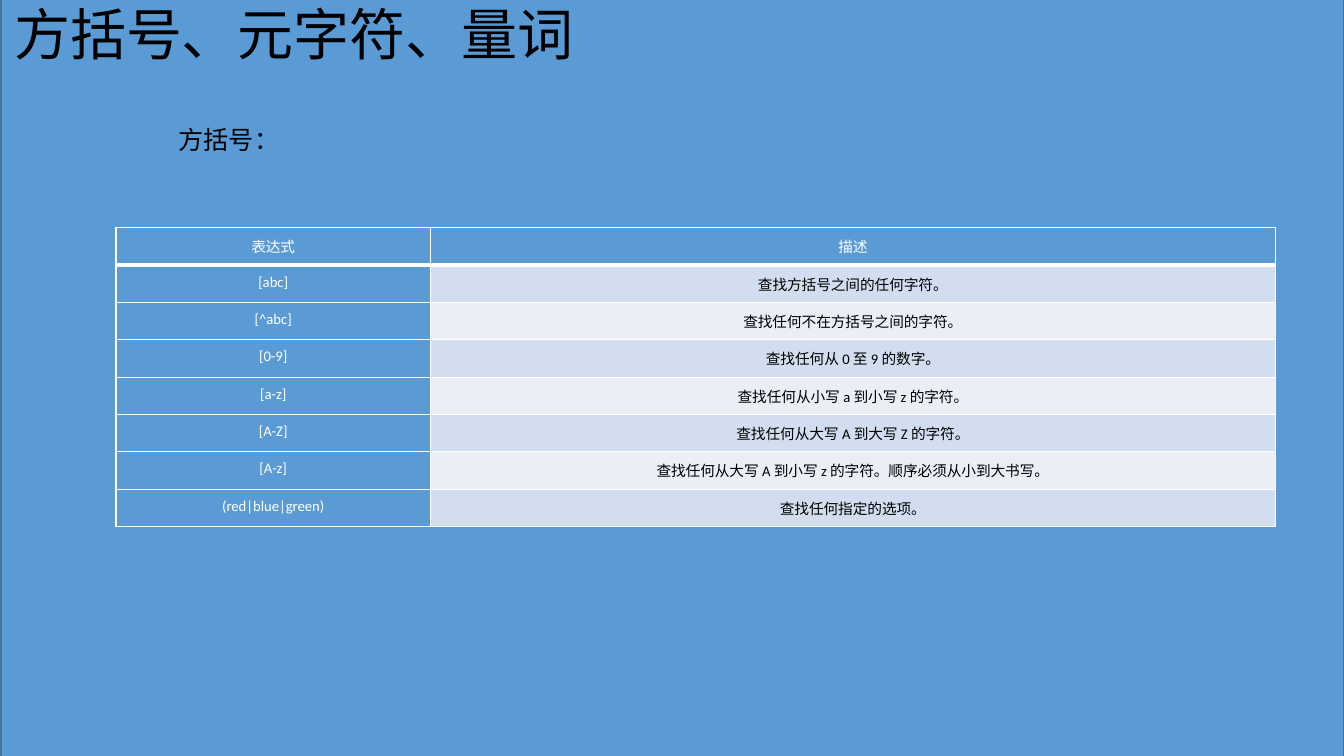
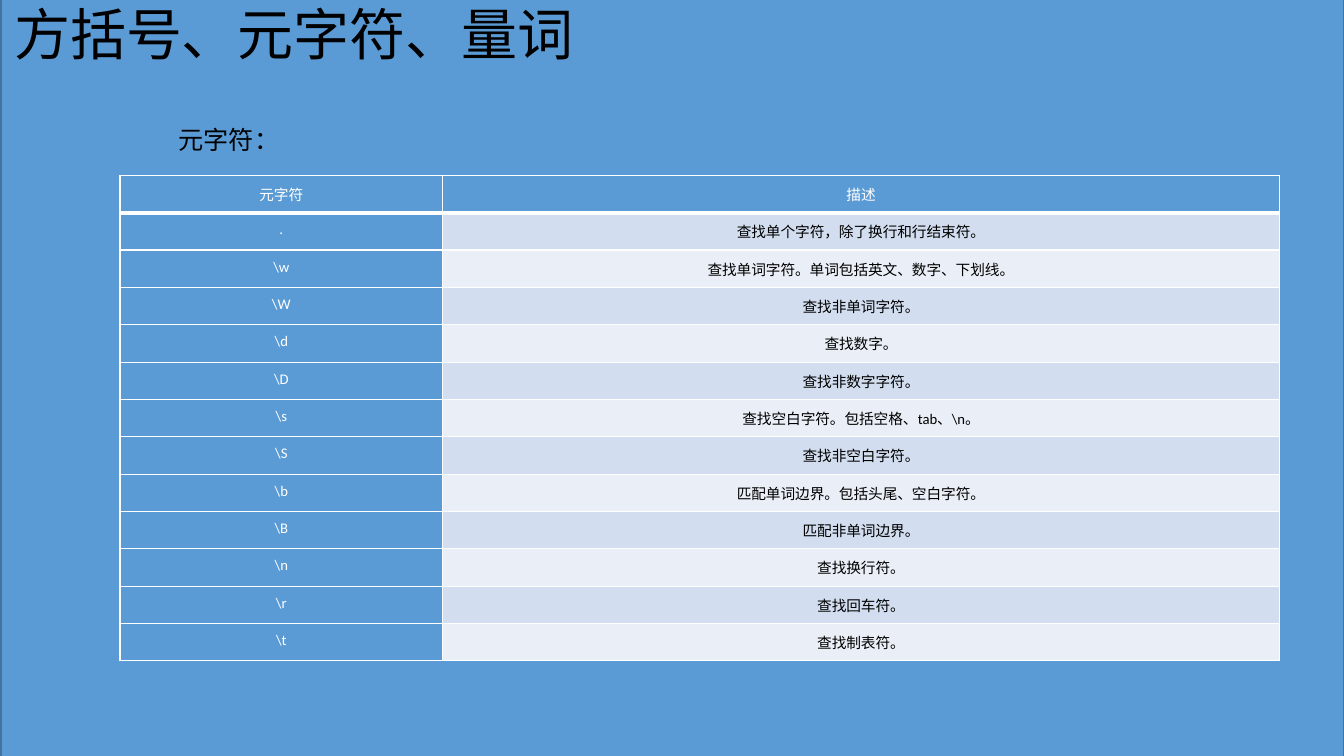
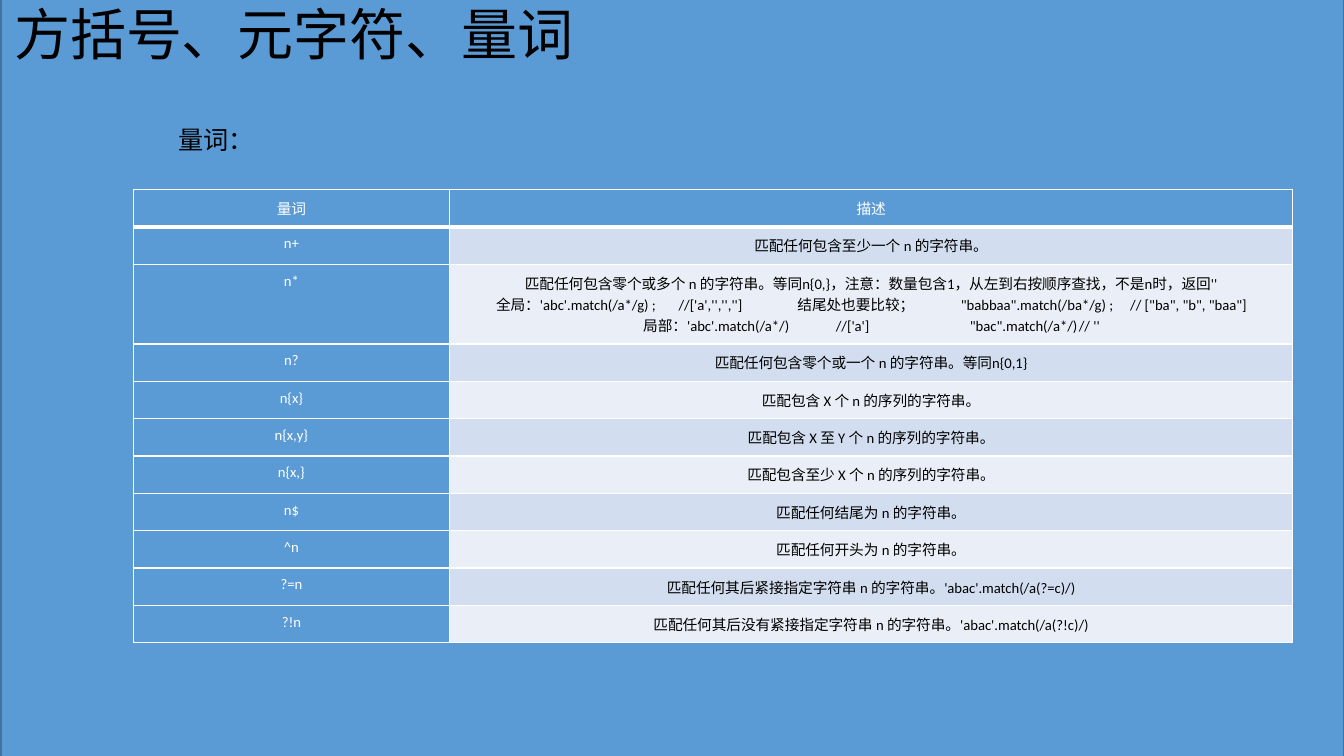
"""Build three slides of regular expression tables: brackets, metacharacters and quantifiers."""
from lxml.etree import SubElement
from pptx import Presentation
from pptx.dml.color import RGBColor
from pptx.enum.lang import MSO_LANGUAGE_ID
from pptx.enum.shapes import MSO_SHAPE
from pptx.enum.text import MSO_ANCHOR, MSO_AUTO_SIZE, PP_ALIGN
from pptx.oxml.ns import qn
from pptx.util import Inches, Pt

COLORS = {"blue": "5B9BD5", "edge": "43739E", "odd": "D2DEEF", "even": "EAEFF7",
          "white": "FFFFFF", "black": "000000"}
FONT = "Calibri"
TITLE = "方括号、元字符、量词"
TABLE_WIDTH = 11.5
ROW_HEIGHT = 0.33
TALL_ROW_HEIGHT = 0.68

TOPICS = [
    {"heading": "方括号：", "left": 1.15, "top": 2.26, "key_width": 3.12, "rows": [
        ("表达式", "描述"),
        ("[abc]", "查找方括号之间的任何字符。"),
        ("[^abc]", "查找任何不在方括号之间的字符。"),
        ("[0-9]", "查找任何从 0 至 9 的数字。"),
        ("[a-z]", "查找任何从小写 a 到小写 z 的字符。"),
        ("[A-Z]", "查找任何从大写 A 到大写 Z 的字符。"),
        ("[A-z]", "查找任何从大写 A 到小写 z 的字符。顺序必须从小到大书写。"),
        ("(red|blue|green)", "查找任何指定的选项。"),
    ]},
    {"heading": "元字符：", "left": 1.19, "top": 1.74, "key_width": 3.2, "rows": [
        ("元字符", "描述"),
        (".", "查找单个字符，除了换行和行结束符。"),
        (r"\w", "查找单词字符。单词包括英文、数字、下划线。"),
        (r"\W", "查找非单词字符。"),
        (r"\d", "查找数字。"),
        (r"\D", "查找非数字字符。"),
        (r"\s", r"查找空白字符。包括空格、tab、\n。"),
        (r"\S", "查找非空白字符。"),
        (r"\b", "匹配单词边界。包括头尾、空白字符。"),
        (r"\B", "匹配非单词边界。"),
        (r"\n", "查找换行符。"),
        (r"\r", "查找回车符。"),
        (r"\t", "查找制表符。"),
    ]},
    {"heading": "量词：", "left": 1.32, "top": 1.88, "key_width": 3.14, "rows": [
        ("量词", "描述"),
        ("n+", "匹配任何包含至少一个 n 的字符串。"),
        ("n*", "匹配任何包含零个或多个 n 的字符串。等同n{0,}，注意：数量包含1，"
               "从左到右按顺序查找，不是n时，返回''",
         [(0.39, "全局：'abc'.match(/a*/g) ;"), (2.2, "//['a','','','']"),
          (3.38, "结尾处也要比较；"), (5, '"babbaa".match(/ba*/g) ;'),
          (6.68, '// ["ba", "b", "baa"]')],
         [(1.85, "局部：'abc'.match(/a*/)"), (3.76, "//['a']"),
          (5.09, '"bac".match(/a*/)'), (6.17, "// ''")]),
        ("n?", "匹配任何包含零个或一个 n 的字符串。等同n{0,1}"),
        ("n{x}", "匹配包含 X 个 n 的序列的字符串。"),
        ("n{x,y}", "匹配包含 X 至 Y 个 n 的序列的字符串。"),
        ("n{x,}", "匹配包含至少 X 个 n 的序列的字符串。"),
        ("n$", "匹配任何结尾为 n 的字符串。"),
        ("^n", "匹配任何开头为 n 的字符串。"),
        ("?=n", "匹配任何其后紧接指定字符串 n 的字符串。'abac'.match(/a(?=c)/)"),
        ("?!n", "匹配任何其后没有紧接指定字符串 n 的字符串。'abac'.match(/a(?!c)/)"),
    ]},
]


def rgb(name):
    return RGBColor.from_string(COLORS[name])


def add_run(paragraph, text, size, color):
    run = paragraph.add_run()
    run.text = text
    run.font.name = FONT
    run.font.size = Pt(size)
    run.font.bold = False
    run.font.color.rgb = rgb(color)
    run.font.language_id = MSO_LANGUAGE_ID.SIMPLIFIED_CHINESE


def place(holder, left, top, width, height):
    holder.left, holder.top = Inches(left), Inches(top)
    holder.width, holder.height = Inches(width), Inches(height)


def fill_placeholder(holder, text, size):
    frame = holder.text_frame
    frame.auto_size = MSO_AUTO_SIZE.NONE
    frame.vertical_anchor = MSO_ANCHOR.TOP
    paragraph = frame.paragraphs[0]
    properties = paragraph._p.get_or_add_pPr()
    properties.set("marL", "0")
    properties.set("indent", "0")
    SubElement(properties, qn("a:buNone"))
    paragraph.alignment = PP_ALIGN.LEFT
    paragraph.line_spacing = 0.9
    paragraph.space_before = Pt(0)
    add_run(paragraph, text, size, "black")


def add_backdrop(slide, layout):
    backdrop = slide.shapes.add_shape(
        MSO_SHAPE.RECTANGLE, Inches(0.01), Inches(-0.01), Inches(13.32), Inches(7.52))
    backdrop.shadow.inherit = False
    backdrop.fill.solid()
    backdrop.fill.fore_color.rgb = rgb("blue")
    backdrop.line.color.rgb = rgb("edge")
    backdrop.line.width = Pt(1)
    layout.placeholders[0].element.addprevious(backdrop.element)


def style_cell(cell, fill, bottom_width):
    cell.margin_left = cell.margin_right = Inches(0.07)
    cell.margin_top = cell.margin_bottom = Inches(0.08)
    properties = cell._tc.get_or_add_tcPr()
    widths = {"a:lnL": 1, "a:lnR": 1, "a:lnT": 1, "a:lnB": bottom_width}
    for side, width in widths.items():
        border = SubElement(properties, qn(side), w=str(Pt(width)))
        paint = SubElement(border, qn("a:solidFill"))
        SubElement(paint, qn("a:srgbClr"), val=COLORS["white"])
    cell.fill.solid()
    cell.fill.fore_color.rgb = rgb(fill)


def write_cell(cell, text, color):
    paragraph = cell.text_frame.paragraphs[0]
    paragraph.alignment = PP_ALIGN.CENTER
    add_run(paragraph, text, 10.5, color)


def add_example(cell, columns):
    paragraph = cell.text_frame.add_paragraph()
    paragraph.alignment = PP_ALIGN.LEFT
    stops = SubElement(paragraph._p.get_or_add_pPr(), qn("a:tabLst"))
    for position, text in columns:
        SubElement(stops, qn("a:tab"), pos=str(Inches(position)), algn="l")
        add_run(paragraph, "\t" + text, 10.5, "black")


def add_topic_table(slide, topic):
    rows = topic["rows"]
    table = slide.shapes.add_table(
        len(rows), 2, Inches(topic["left"]), Inches(topic["top"]),
        Inches(TABLE_WIDTH), Inches(ROW_HEIGHT * len(rows))).table
    table.columns[0].width = Inches(topic["key_width"])
    table.columns[1].width = Inches(TABLE_WIDTH - topic["key_width"])
    for index, (key, description, *examples) in enumerate(rows):
        table.rows[index].height = Inches(TALL_ROW_HEIGHT if examples else ROW_HEIGHT)
        header = index == 0
        band = "blue" if header else "odd" if index % 2 else "even"
        key_cell, description_cell = table.cell(index, 0), table.cell(index, 1)
        for cell, fill in ((key_cell, "blue"), (description_cell, band)):
            style_cell(cell, fill, 3 if header else 1)
        write_cell(key_cell, key, "white")
        write_cell(description_cell, description, "white" if header else "black")
        for columns in examples:
            add_example(description_cell, columns)


def main():
    deck = Presentation()
    deck.slide_width, deck.slide_height = Inches(13.33), Inches(7.5)
    layout = deck.slide_layouts[1]
    place(layout.placeholders[0], 0.04, 0.02, 13.27, 0.99)
    place(layout.placeholders[1], 1.67, 1.22, 11.65, 5.65)
    for number, topic in enumerate(TOPICS):
        slide = deck.slides.add_slide(layout)
        if number == 0:
            add_backdrop(slide, layout)
        fill_placeholder(slide.shapes.title, TITLE, 40)
        fill_placeholder(slide.placeholders[1], topic["heading"], 18)
        add_topic_table(slide, topic)
    deck.save("out.pptx")


if __name__ == "__main__":
    main()
